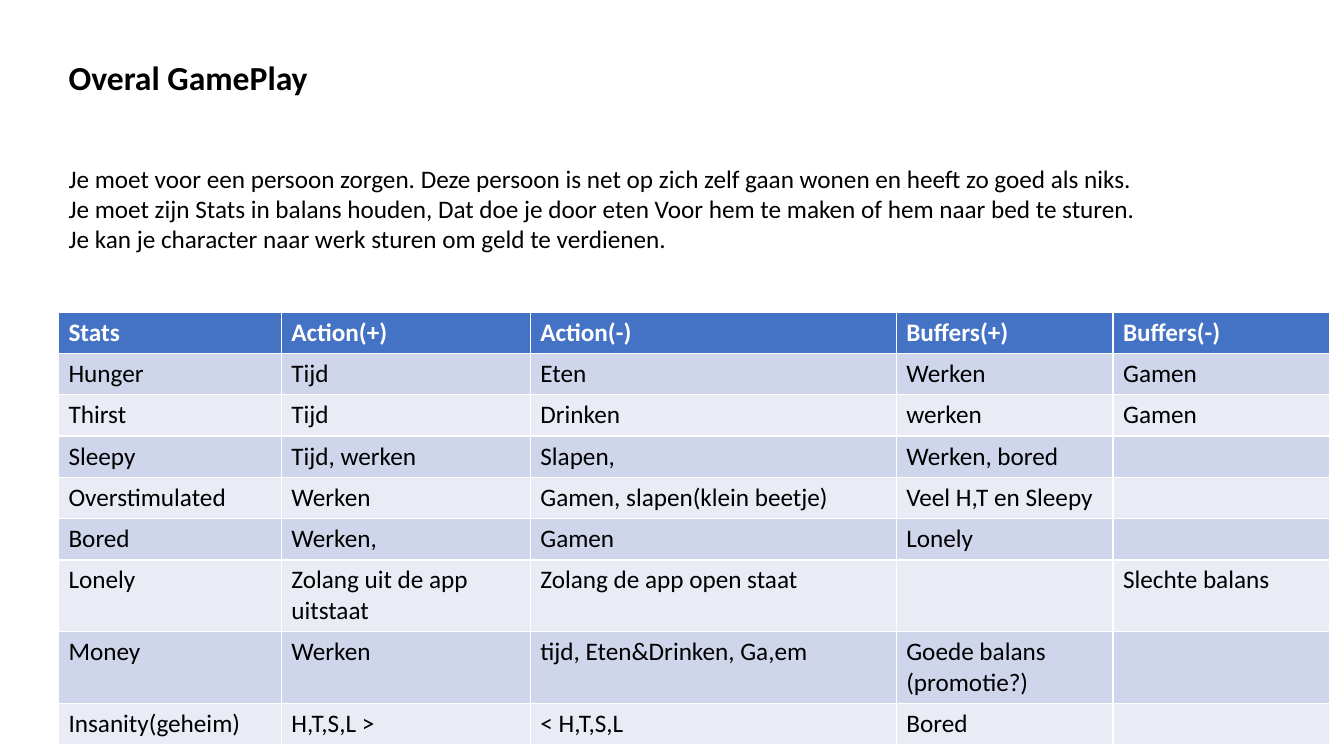
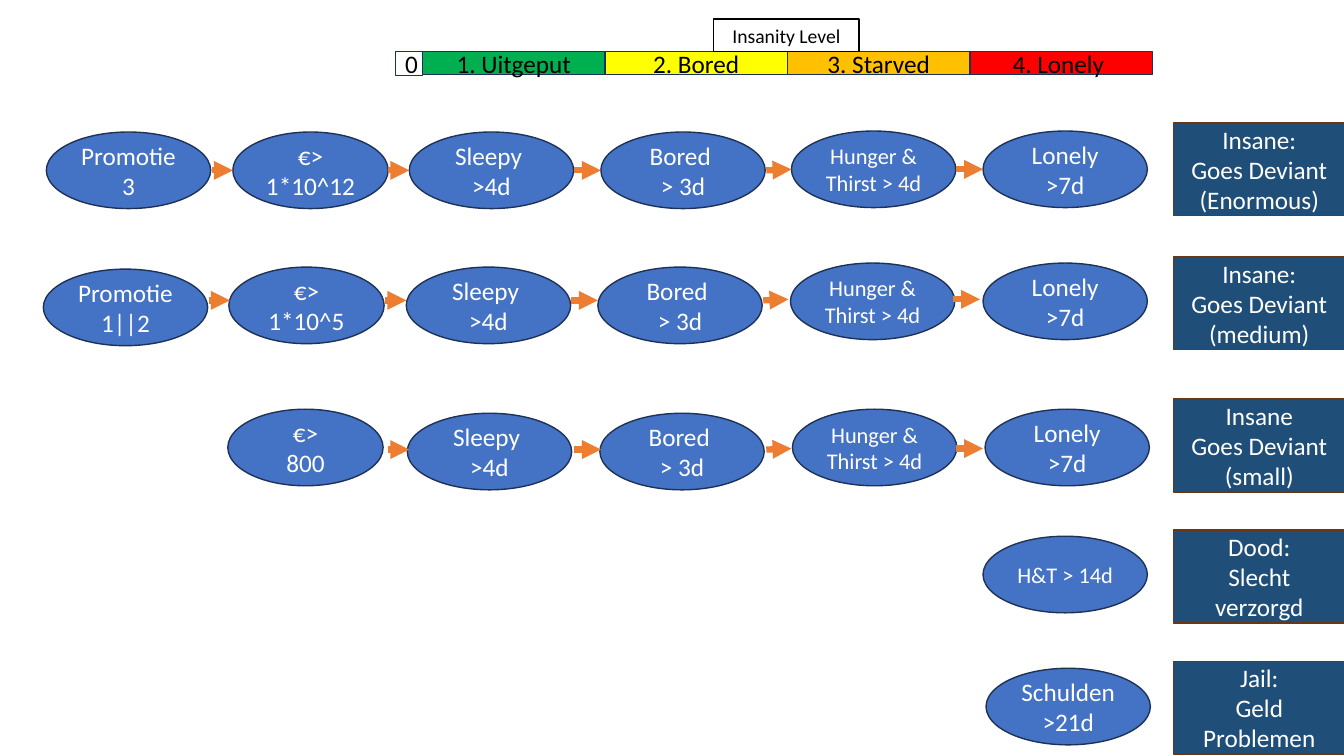
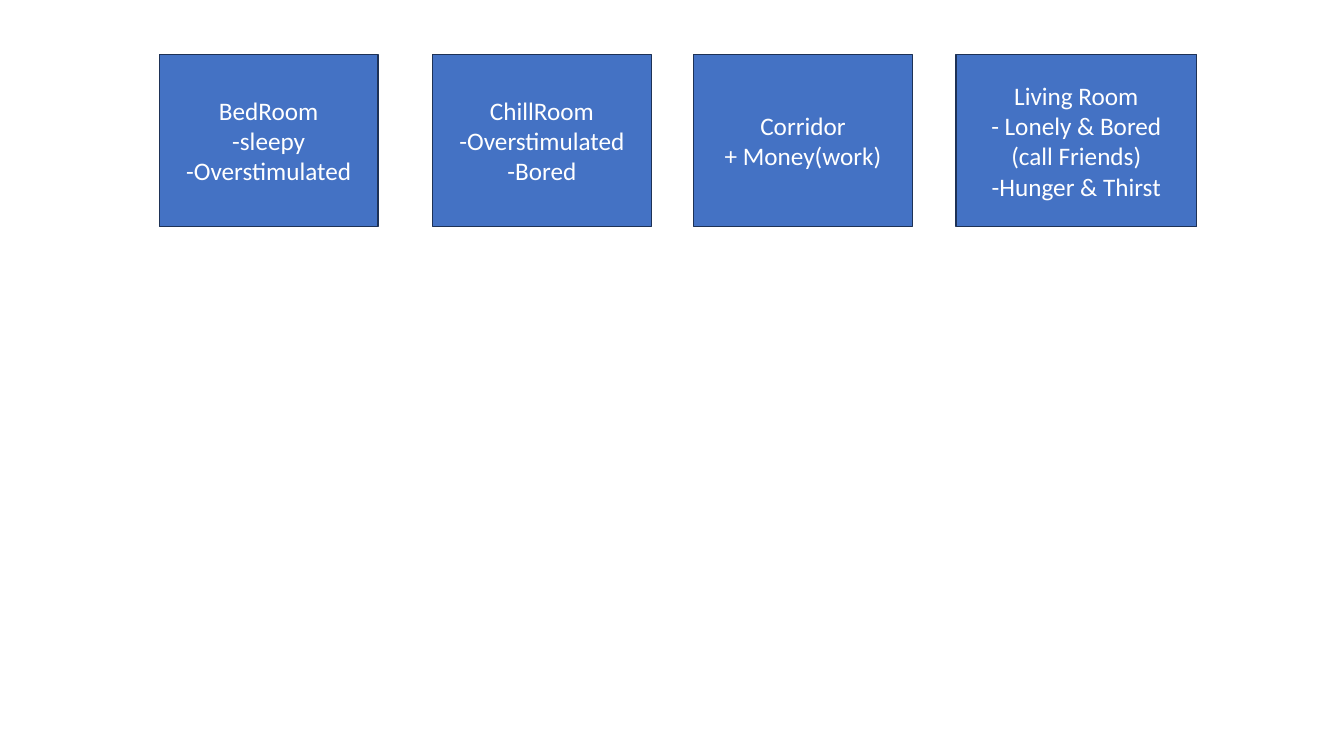
from pptx import Presentation
from pptx import util as u
from pptx.dml.color import RGBColor
from pptx.enum import shapes, text
from pptx.oxml import ns
from lxml import etree

PX = 9144
FONT = "Calibri"
COLORS = {
    "black": "000000", "white": "FFFFFF", "blue": "4472C4", "blue_edge": "1E3256",
    "navy": "1F4E79", "brown": "683715", "orange": "ED7D31", "odd_row": "CFD5EA",
    "even_row": "E9EBF5", "green": "00B050", "yellow": "FFFF00", "amber": "FFC000",
    "red": "FF0000",
}

INTRO = [
    "Je moet voor een persoon zorgen. Deze persoon is net op zich zelf gaan wonen en heeft zo goed als niks.",
    "Je moet zijn Stats in balans houden, Dat doe je door eten Voor hem te maken of hem naar bed te sturen.",
    "Je kan je character naar werk sturen om geld te verdienen.",
]
STAT_WIDTHS = [221, 247, 363, 215, 215]
STATS = [
    ["Stats", "Action(+)", "Action(-)", "Buffers(+)", "Buffers(-)"],
    ["Hunger", "Tijd", "Eten", "Werken", "Gamen"],
    ["Thirst", "Tijd", "Drinken", "werken", "Gamen"],
    ["Sleepy", "Tijd, werken", "Slapen,", "Werken, bored", ""],
    ["Overstimulated", "Werken", "Gamen, slapen(klein beetje)", "Veel H,T en Sleepy", ""],
    ["Bored", "Werken,", "Gamen", "Lonely", ""],
    ["Lonely", "Zolang uit de app uitstaat", "Zolang de app open staat", "", "Slechte balans"],
    ["Money", "Werken", "tijd, Eten&Drinken, Ga,em", "Goede balans\n(promotie?)", ""],
    ["Insanity(geheim)", "H,T,S,L >", "< H,T,S,L", "Bored", ""],
]

LEVELS = [("1. Uitgeput", "green"), ("2. Bored", "yellow"),
          ("3. Starved", "amber"), ("4. Lonely ", "red")]
NEEDS = ["Sleepy \n>4d", "Bored \n> 3d", "Hunger & Thirst > 4d", "Lonely\n>7d"]
CHAINS = [
    (46, 130, 39, ["Promotie \n3", "€>\n1*10^12"],
     [(0, 1), (185, 1), (360, 1), (550, 1), (739, 0), (929, 0)]),
    (43, 261, 37, ["Promotie 1||2", "€>\n1*10^5"],
     [(0, 6), (184, 4), (360, 4), (550, 4), (741, 0), (932, 0)]),
    (46, 406, 40, ["€>\n800"],
     [(180, 0), (358, 4), (549, 4), (740, 0), (931, 0)]),
]
ARROWS = [(164, 185, 0, 0), (339, 360, 0, 0), (523, 550, 0, 0),
          (714, 739, 0, -1), (902, 929, -1, -1)]
SINGLE_CAUSES = [(975, 532, "H&T > 14d"), (978, 663, "Schulden\n>21d")]
ENDINGS = [
    (122, "Insane:\nGoes Deviant\n(Enormous)"),
    (255, "Insane:\nGoes Deviant\n(medium)"),
    (396, "Insane\nGoes Deviant\n(small)"),
    (526, "Dood:\nSlecht verzorgd"),
    (656, "Jail:\nGeld Problemen"),
]
ROOMS = [
    (158, 217, "BedRoom\n-sleepy\n-Overstimulated"),
    (429, 217, "ChillRoom\n-Overstimulated\n-Bored"),
    (688, 217, "Corridor\n+ Money(work)"),
    (948, 239, "Living Room\n- Lonely & Bored\n(call Friends)\n-Hunger & Thirst"),
]


def rgb(name):
    """Return the colour with this name."""
    return RGBColor.from_string(COLORS[name])


def emu(*lengths):
    """Turn px lengths into EMU."""
    return [u.Emu(length * PX) for length in lengths]


def write(frame, content, size=18, color="black", bold=False, align=text.PP_ALIGN.LEFT):
    """Write each line of the content as a paragraph with one run."""
    for index, line in enumerate(content.split("\n")):
        paragraph = frame.paragraphs[0] if index == 0 else frame.add_paragraph()
        paragraph.alignment = align
        paragraph.space_before = u.Pt(0)
        run = paragraph.add_run()
        run.text = line
        run.font.name = FONT
        run.font.size = u.Pt(size)
        run.font.bold = bold
        run.font.color.rgb = rgb(color)


def fill_placeholder(holder, box, content, **style):
    """Move a placeholder to the box and write plain text without bullets in it."""
    holder.left, holder.top, holder.width, holder.height = emu(*box)
    frame = holder.text_frame
    frame.word_wrap = False
    frame.auto_size = text.MSO_AUTO_SIZE.NONE
    frame.vertical_anchor = text.MSO_ANCHOR.TOP
    write(frame, content, **style)
    for paragraph in frame.paragraphs:
        properties = paragraph._p.get_or_add_pPr()
        properties.set("marL", "0")
        properties.set("indent", "0")
        etree.SubElement(properties, ns.qn("a:buNone"))


def add_node(parent, box, content, fill="blue", edge="blue_edge", color="white",
             size=18, kind=shapes.MSO_SHAPE.RECTANGLE):
    """Add a filled shape with centred text."""
    node = parent.shapes.add_shape(kind, *emu(*box))
    node.shadow.inherit = False
    node.fill.solid()
    node.fill.fore_color.rgb = rgb(fill)
    node.line.color.rgb = rgb(edge)
    node.line.width = u.Pt(1)
    node.text_frame.vertical_anchor = text.MSO_ANCHOR.MIDDLE
    write(node.text_frame, content, size, color, align=text.PP_ALIGN.CENTER)


def add_cause(slide, left, top, content):
    """Add one oval cause, sized by its content."""
    width = 154 if content.startswith("€") else 163
    size = 16 if content.startswith("H") else 18
    add_node(slide, (left, top, width, 76), content, size=size, kind=shapes.MSO_SHAPE.OVAL)


def add_arrow(slide, start_x, start_y, end_x, end_y):
    """Add a thick orange arrow."""
    arrow = slide.shapes.add_connector(shapes.MSO_CONNECTOR.STRAIGHT,
                                       *emu(start_x, start_y, end_x, end_y))
    arrow.line.color.rgb = rgb("orange")
    arrow.line.width = u.Pt(4.5)
    properties = arrow._element.spPr
    etree.SubElement(properties.find(ns.qn("a:ln")), ns.qn("a:tailEnd"), type="triangle")
    etree.SubElement(properties, ns.qn("a:effectLst"))


def add_chain(slide, left, top, arrow_y, first_causes, spots):
    """Add a row of causes joined by arrows, from its top left corner."""
    causes = first_causes + NEEDS
    for (x, y), cause in zip(spots, causes):
        add_cause(slide, left + x, top + y, cause)
    for start_x, end_x, start_y, end_y in ARROWS[1 - len(causes):]:
        add_arrow(slide, left + start_x, top + arrow_y + start_y,
                  left + end_x, top + arrow_y + end_y)


def add_insanity_meter(slide, left, top):
    """Add the grouped scale of insanity levels."""
    meter = slide.shapes.add_group_shape()
    for index, (level, fill) in enumerate(LEVELS):
        add_node(meter, (left + 27 + 181 * index, top + 32, 181, 23), level, fill, color="black")
    add_node(meter, (left + 316, top, 144, 32), "Insanity Level", "white", "black", "black", 14)
    add_node(meter, (left, top + 32, 27, 24), "0", "white", color="black")


def add_stats_table(slide, left, top):
    """Add the table of stats with a blue header and banded rows."""
    table = slide.shapes.add_table(len(STATS), len(STAT_WIDTHS),
                                   *emu(left, top, sum(STAT_WIDTHS), 363)).table
    for column, width in zip(table.columns, STAT_WIDTHS):
        column.width = u.Emu(width * PX)
    for index, stat in enumerate(STATS):
        header = index == 0
        table.rows[index].height = u.Emu((35 if header else 41) * PX)
        fill = "blue" if header else ("even_row", "odd_row")[index % 2]
        for cell, content in zip(table.rows[index].cells, stat):
            cell.fill.solid()
            cell.fill.fore_color.rgb = rgb(fill)
            if content:
                write(cell.text_frame, content, color="white" if header else "black", bold=header)


def build_gameplay(deck):
    """Build the slide with the overall gameplay and the stats."""
    slide = deck.slides.add_slide(deck.slide_layouts[1])
    title, intro = slide.placeholders
    fill_placeholder(title, (58, 51, 260, 50), "Overal GamePlay", size=24, bold=True)
    fill_placeholder(intro, (58, 157, 1092, 101), "\n".join(INTRO))
    add_stats_table(slide, 58, 310)


def build_endings(deck):
    """Build the slide with the chains that lead to each ending."""
    slide = deck.slides.add_slide(deck.slide_layouts[6])
    add_insanity_meter(slide, 392, 19)
    for top, ending in ENDINGS:
        add_node(slide, (1164, top, 170, 92), ending, "navy", "brown")
    for chain in CHAINS:
        add_chain(slide, *chain)
    for cause in SINGLE_CAUSES:
        add_cause(slide, *cause)


def build_rooms(deck):
    """Build the slide with the rooms and the stats they change."""
    slide = deck.slides.add_slide(deck.slide_layouts[6])
    for left, width, room in ROOMS:
        add_node(slide, (left, 54, width, 171), room)


def main():
    """Build and save the deck."""
    deck = Presentation()
    deck.slide_width, deck.slide_height = emu(1333, 750)
    build_gameplay(deck)
    build_endings(deck)
    build_rooms(deck)
    deck.save("out.pptx")


if __name__ == "__main__":
    main()
